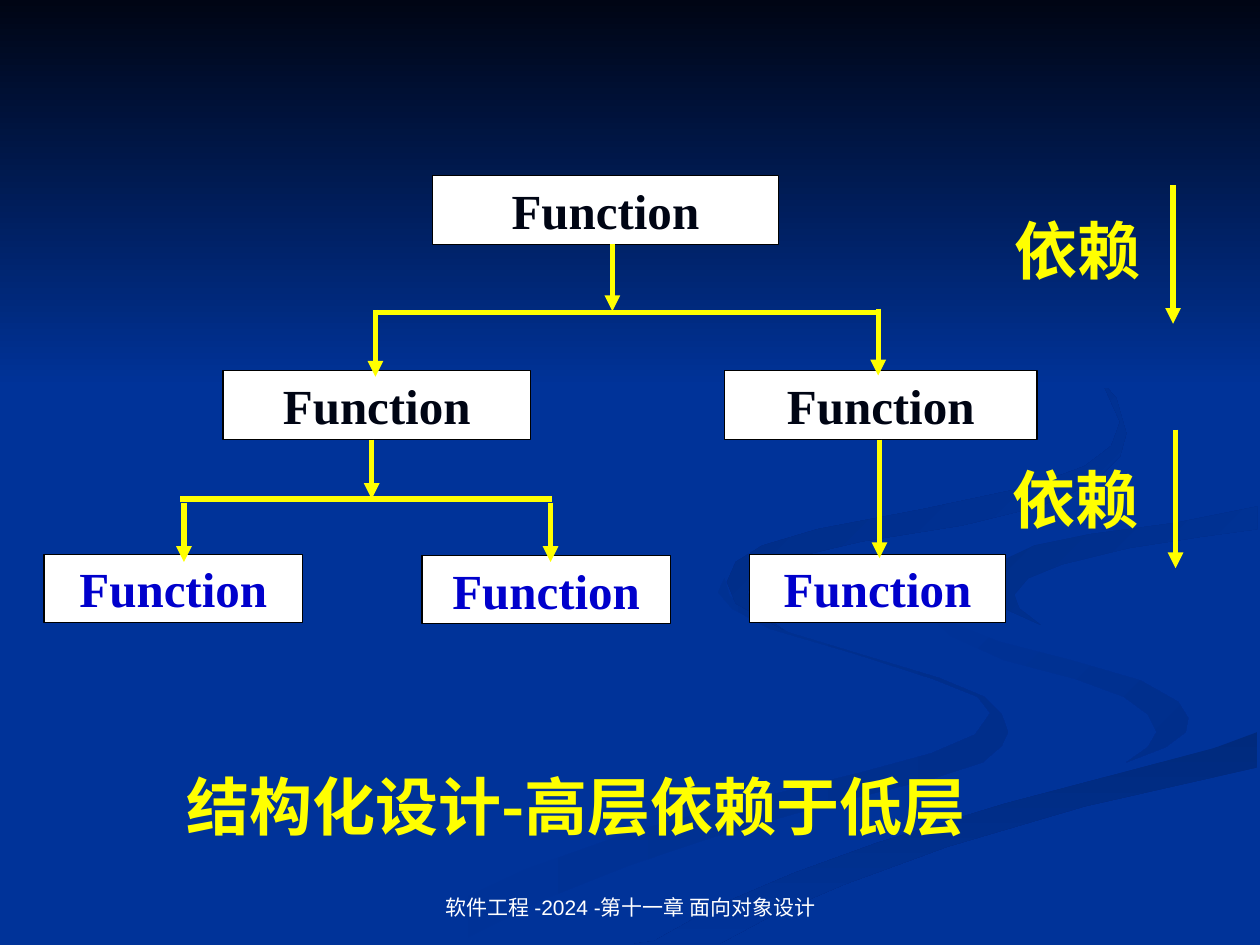
from dataclasses import dataclass

from lxml.etree import SubElement
from pptx import Presentation
from pptx.dml.color import RGBColor
from pptx.enum.shapes import MSO_CONNECTOR, MSO_SHAPE
from pptx.enum.text import MSO_ANCHOR, MSO_AUTO_SIZE, PP_ALIGN
from pptx.oxml.ns import qn
from pptx.util import Inches, Pt


@dataclass(frozen=True)
class Theme:
    background: str = "003399"
    dark: str = "000514"
    accent: str = "FFFF00"
    leaf_text: str = "0000CC"
    white: str = "FFFFFF"
    black: str = "000000"
    latin_font: str = "Times New Roman"
    chinese_font: str = "Noto Sans CJK SC"
    footer_font: str = "Arial"
    node_size: int = 28
    heading_size: int = 36
    footer_size: int = 12
    arrow_width: float = 3
    border_width: float = 0.75


THEME = Theme()

# Ribbon outlines in inches: points, first colour, last colour, angle
RIBBONS = [
    ([(7.81, 5.53), (7.45, 5.38), (6.82, 5.19), (6.26, 5.02), (5.94, 4.85), (5.79, 4.73),
      (5.75, 4.59), (5.7, 4.7), (5.81, 4.83), (6.11, 4.99), (6.79, 5.19), (7.41, 5.39),
      (7.76, 5.53), (7.86, 5.66), (7.74, 5.83), (7.39, 5.98), (6.84, 6.13), (5.79, 6.39),
      (4.99, 6.61), (4.17, 6.9), (3.38, 7.27), (3, 7.49), (3.61, 7.49), (4.31, 7.14),
      (4.99, 6.87), (5.64, 6.65), (6.51, 6.4), (7.4, 6.18), (7.8, 6.05), (7.95, 5.92),
      (8, 5.81), (7.95, 5.67)], "003399", "002E8B", 0),
    ([(9.43, 5.7), (9.35, 5.57), (9.05, 5.4), (8.5, 5.24), (7.92, 5.09), (7.45, 4.9),
      (7.24, 4.64), (7.3, 4.83), (7.55, 5.05), (7.97, 5.24), (8.54, 5.39), (8.92, 5.53),
      (9.11, 5.67), (9.18, 5.81), (9.11, 5.93), (8.94, 6.05), (9.25, 5.93), (9.41, 5.81)],
     "003399", "002E8B", 45),
    ([(5.19, 7.47), (5.03, 7.49), (5.71, 7.49), (6.14, 7.26), (6.7, 7.02), (7.52, 6.72),
      (8.61, 6.4), (9.98, 6.09), (9.98, 5.81), (9.63, 5.94), (9.03, 6.1), (7.97, 6.38),
      (6.96, 6.69), (6.3, 6.93), (5.69, 7.19)], "002A7D", "003399", 90),
    ([(7.81, 4.6), (7.82, 4.69), (7.97, 4.83), (8.26, 4.96), (8.09, 4.83), (8.05, 4.72),
      (8.16, 4.59), (8.43, 4.48), (8.96, 4.35), (9.54, 4.26), (9.98, 4.2), (9.98, 4.02),
      (9.33, 4.15), (8.65, 4.24), (8.21, 4.33), (7.91, 4.47)], "002D86", "003399", 45),
    ([(6.83, 4.3), (7.64, 4.17), (8.25, 4.02), (8.67, 3.84), (8.89, 3.62), (8.94, 3.44),
      (8.86, 3.16), (8.64, 2.91), (8.21, 2.61), (7.62, 2.33), (8.05, 2.54), (8.46, 2.79),
      (8.76, 3.06), (8.89, 3.35), (8.82, 3.54), (8.61, 3.7), (8.18, 3.86), (7.33, 4.04),
      (6.49, 4.2), (6.05, 4.33), (5.84, 4.46), (5.77, 4.62), (5.84, 4.79), (6.22, 5),
      (6.01, 4.85), (5.93, 4.7), (6.01, 4.56), (6.24, 4.44)], "002B82", "003399", 45),
]


def color(value):
    return RGBColor.from_string(value)


def apply_format(target, values):
    for name, value in values.items():
        setattr(target, name, value)


def write_text(shape, text, size, font_name, text_color, bold=True,
               align=PP_ALIGN.CENTER, anchor=MSO_ANCHOR.TOP, margins=(0.1, 0.05)):
    side, end = (Inches(margin) for margin in margins)
    frame = shape.text_frame
    apply_format(frame, {
        "text": text, "word_wrap": True, "auto_size": MSO_AUTO_SIZE.NONE,
        "vertical_anchor": anchor, "margin_left": side, "margin_right": side,
        "margin_top": end, "margin_bottom": end})
    paragraph = frame.paragraphs[0]
    paragraph.alignment = align
    font = paragraph.runs[0].font
    apply_format(font, {"size": Pt(size), "name": font_name, "bold": bold})
    font.color.rgb = color(text_color)
    # Chinese characters take the East Asian font
    east_asian = SubElement(paragraph.runs[0]._r.rPr, qn("a:ea"))
    east_asian.set("typeface", THEME.chinese_font)


def fill_gradient(shape, first, last, angle):
    shape.shadow.inherit = False
    shape.line.fill.background()
    shape.fill.gradient()
    shape.fill.gradient_angle = (360 - angle) % 360
    for stop, value, position in zip(shape.fill.gradient_stops, (first, last), (0, 1)):
        stop.color.rgb = color(value)
        stop.position = position


def draw_background(slide, left, top, width, height):
    slide.background.fill.solid()
    slide.background.fill.fore_color.rgb = color(THEME.background)
    # Ribbons
    for points, first, last, angle in RIBBONS:
        corners = [(left + Inches(x), top + Inches(y)) for x, y in points]
        builder = slide.shapes.build_freeform(*corners[0])
        builder.add_line_segments(corners[1:])
        fill_gradient(builder.convert_to_shape(), first, last, angle)
    # Dark band fading downwards
    band = slide.shapes.add_shape(MSO_SHAPE.RECTANGLE, left, top, width, height)
    fill_gradient(band, THEME.dark, THEME.background, 90)


def add_node(slide, left, top, width, height, text_color, side_margin):
    node = slide.shapes.add_shape(MSO_SHAPE.RECTANGLE, left, top, width, height)
    node.shadow.inherit = False
    node.fill.solid()
    node.fill.fore_color.rgb = color(THEME.white)
    node.line.color.rgb = color(THEME.black)
    node.line.width = Pt(THEME.border_width)
    write_text(node, "Function", THEME.node_size, THEME.latin_font, text_color,
               anchor=MSO_ANCHOR.MIDDLE, margins=(side_margin, 0.04))


def add_line(slide, start_x, start_y, end_x, end_y, arrow=True):
    line = slide.shapes.add_connector(MSO_CONNECTOR.STRAIGHT, start_x, start_y, end_x, end_y)
    line.line.color.rgb = color(THEME.accent)
    line.line.width = Pt(THEME.arrow_width)
    if arrow:
        SubElement(line.line._get_or_add_ln(), qn("a:tailEnd")).set("type", "triangle")
    SubElement(line._element.spPr, qn("a:effectLst"))


def draw_tree(slide, left, top):
    # Modules: left, top, width, height from the corner of the tree
    upper = [(3.08, 0, 2.75, 0.55), (1.42, 1.55, 2.44, 0.55), (5.4, 1.55, 2.48, 0.55)]
    lower = [(0, 3.01, 2.05, 0.54), (3, 3.02, 1.97, 0.54), (5.6, 3.01, 2.03, 0.54)]
    for boxes, text_color, margin in ((upper, THEME.dark, 0.02), (lower, THEME.leaf_text, 0.08)):
        for x, y, width, height in boxes:
            add_node(slide, left + Inches(x), top + Inches(y),
                     Inches(width), Inches(height), text_color, margin)
    # Crossbars: start, end, height
    for start, end, y in ((2.62, 6.63, 1.09), (1.08, 4.03, 2.57)):
        add_line(slide, left + Inches(start), top + Inches(y),
                 left + Inches(end), top + Inches(y), arrow=False)
    # Downward arrows: position, start, length
    for x, y, length in ((4.51, 0.55, 0.53), (2.6, 2.1, 0.47), (6.63, 2.1, 0.94),
                         (2.63, 1.07, 0.53), (6.62, 1.06, 0.53),
                         (1.11, 2.6, 0.47), (4.02, 2.6, 0.47)):
        add_line(slide, left + Inches(x), top + Inches(y),
                 left + Inches(x), top + Inches(y + length))


def draw_dependency(slide, left, top, arrow_offset, arrow_rise):
    label = slide.shapes.add_textbox(left, top, Inches(1.3), Inches(0.7))
    write_text(label, "依赖", THEME.heading_size, THEME.chinese_font, THEME.accent,
               align=PP_ALIGN.LEFT)
    arrow_left, arrow_top = left + arrow_offset, top - arrow_rise
    add_line(slide, arrow_left, arrow_top, arrow_left, arrow_top + Inches(1.1))


def place_title(slide, left, top, width, height):
    title = slide.shapes.title
    apply_format(title, {"left": left, "top": top, "width": width, "height": height})
    write_text(title, "结构化设计-高层依赖于低层", THEME.heading_size,
               THEME.chinese_font, THEME.accent)
    # Bring the title in front of the background
    title._element.getparent().append(title._element)


def draw_footer(slide, left, top, width, height):
    footer = slide.shapes.add_textbox(left, top, width, height)
    write_text(footer, "软件工程 -2024 -第十一章 面向对象设计", THEME.footer_size,
               THEME.footer_font, THEME.white, bold=False, anchor=MSO_ANCHOR.BOTTOM)


def main():
    presentation = Presentation()
    presentation.slide_width, presentation.slide_height = Inches(10), Inches(7.5)
    slide = presentation.slides.add_slide(presentation.slide_layouts.get_by_name("Title Only"))
    draw_background(slide, 0, 0, Inches(10), Inches(3.08))
    draw_tree(slide, Inches(0.35), Inches(1.39))
    draw_dependency(slide, Inches(7.95), Inches(1.63), Inches(1.36), Inches(0.16))
    draw_dependency(slide, Inches(7.94), Inches(3.61), Inches(1.39), Inches(0.2))
    place_title(slide, Inches(0.75), Inches(6.04), Inches(7.64), Inches(0.7))
    draw_footer(slide, Inches(3.42), Inches(6.83), Inches(3.17), Inches(0.52))
    presentation.save("out.pptx")


if __name__ == "__main__":
    main()
